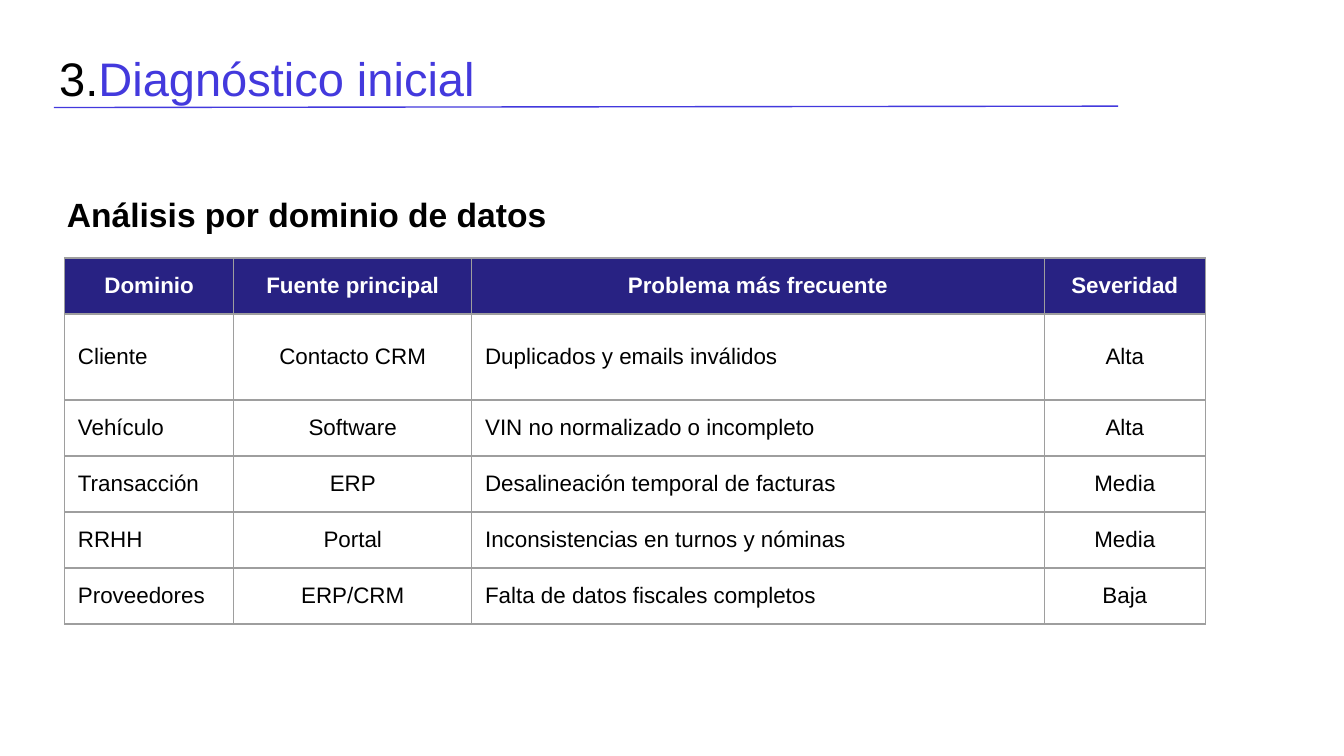
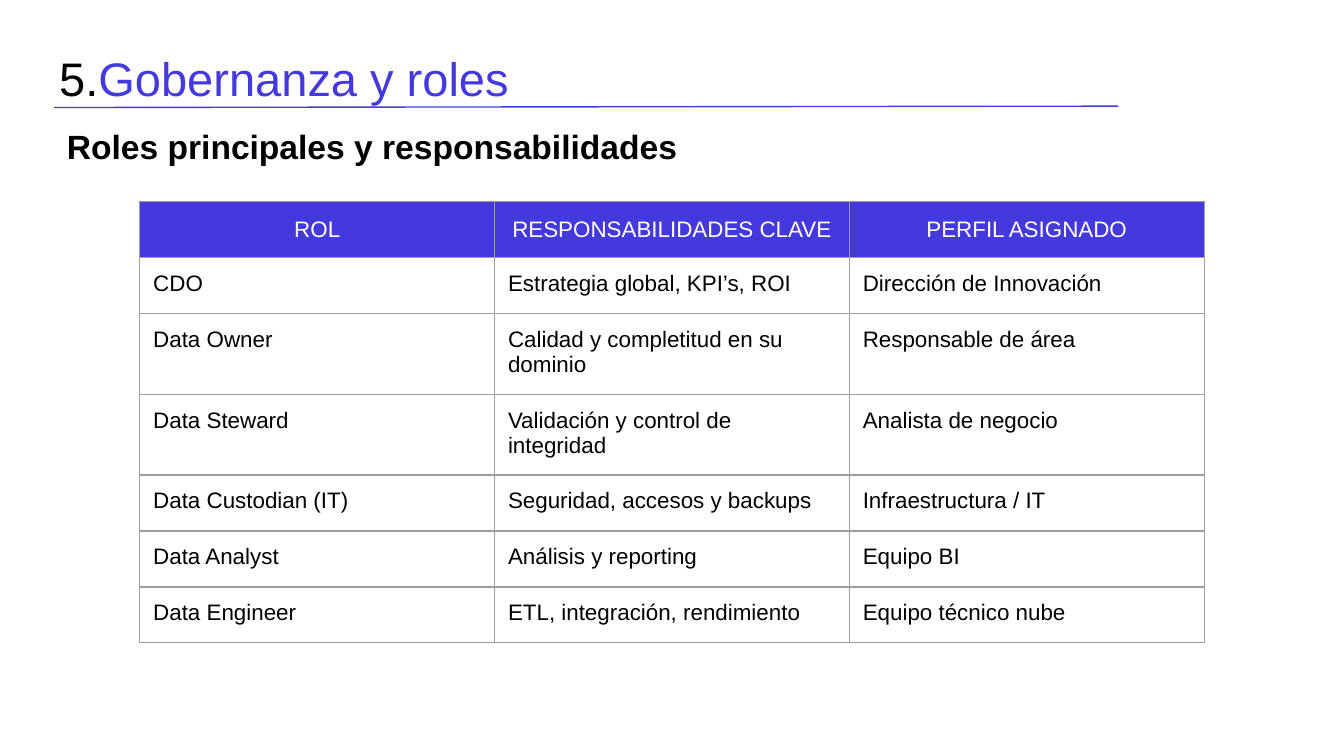
import dataclasses

import lxml.etree
import pptx
import pptx.dml.color
import pptx.enum.shapes
import pptx.enum.text
import pptx.oxml.ns
import pptx.util

Inches = pptx.util.Inches
ALIGN = pptx.enum.text.PP_ALIGN
ANCHOR = pptx.enum.text.MSO_ANCHOR

FONT = "Arial"
BLACK, WHITE = "000000", "FFFFFF"
VIOLET, NAVY, GRAY = "4339DD", "282283", "9E9E9E"
INSET = Inches(0.1)
ROW_HEIGHT = 5 / 12


@dataclasses.dataclass
class Grid:
    left: float
    top: float
    widths: list[float]
    rows: list[list[str]]
    header_fill: str
    header_bold: bool = False
    body_anchor: ANCHOR = ANCHOR.TOP
    centered_columns: tuple[int, ...] = ()
    tall_rows: dict[int, float] = dataclasses.field(default_factory=dict)


@dataclasses.dataclass
class Section:
    number: str
    title: str
    subtitle: str
    subtitle_top: float
    subtitle_width: float
    grid: Grid


SECTIONS = [
    Section(
        "3.", "Diagnóstico inicial", "Análisis por dominio de datos", 1.3, 5.74,
        Grid(
            0.48, 1.92, [1.26, 1.77, 4.26, 1.2],
            [
                ["Dominio", "Fuente principal", "Problema más frecuente", "Severidad"],
                ["Cliente", "Contacto CRM", "Duplicados y emails inválidos", "Alta"],
                ["Vehículo", "Software", "VIN no normalizado o incompleto", "Alta"],
                ["Transacción", "ERP", "Desalineación temporal de facturas", "Media"],
                ["RRHH", "Portal", "Inconsistencias en turnos y nóminas", "Media"],
                ["Proveedores", "ERP/CRM", "Falta de datos fiscales completos", "Baja"],
            ],
            NAVY, header_bold=True, body_anchor=ANCHOR.MIDDLE,
            centered_columns=(1, 3), tall_rows={1: 0.64},
        ),
    ),
    Section(
        "5.", "Gobernanza y roles", "Roles principales y responsabilidades", 0.79, 6.64,
        Grid(
            1.04, 1.5, [2.64] * 3,
            [
                ["ROL", "RESPONSABILIDADES CLAVE", "PERFIL ASIGNADO"],
                ["CDO", "Estrategia global, KPI’s, ROI", "Dirección de Innovación"],
                ["Data Owner", "Calidad y completitud en su dominio", "Responsable de área"],
                ["Data Steward", "Validación y control de integridad", "Analista de negocio"],
                ["Data Custodian (IT)", "Seguridad, accesos y backups", "Infraestructura / IT"],
                ["Data Analyst", "Análisis y reporting", "Equipo BI"],
                ["Data Engineer", "ETL, integración, rendimiento", "Equipo técnico nube"],
            ],
            VIOLET,
        ),
    ),
]


def rgb(value: str) -> pptx.dml.color.RGBColor:
    return pptx.dml.color.RGBColor.from_string(value)


def write(para, text: str, *, size: float, color: str = BLACK, bold: bool = False,
          align: ALIGN = ALIGN.LEFT) -> None:
    para.alignment = align
    span = para.add_run()
    span.text = text
    span.font.name = FONT
    span.font.size = pptx.util.Pt(size)
    span.font.bold = bold
    span.font.color.rgb = rgb(color)


def set_insets(holder) -> None:
    holder.margin_left = holder.margin_right = INSET
    holder.margin_top = holder.margin_bottom = INSET


def draw_title(page, section: Section) -> None:
    box = page.shapes.title
    box.left, box.top = Inches(0.34), Inches(0.26)
    box.width, box.height = Inches(9.32), Inches(0.63)
    frame = box.text_frame
    set_insets(frame)
    frame.word_wrap = True
    frame.auto_size = pptx.enum.text.MSO_AUTO_SIZE.NONE
    frame.vertical_anchor = ANCHOR.MIDDLE
    write(frame.paragraphs[0], section.number, size=25.2)
    write(frame.paragraphs[0], section.title, size=25.2, color=VIOLET)


def draw_rule(page) -> None:
    rule = page.shapes.add_connector(
        pptx.enum.shapes.MSO_CONNECTOR.STRAIGHT,
        Inches(0.4), Inches(0.8), Inches(8.32), Inches(0.79))
    rule.line.color.rgb = rgb(VIOLET)
    rule.line.width = pptx.util.Pt(0.75)
    lxml.etree.SubElement(rule._element.spPr, pptx.oxml.ns.qn("a:effectLst"))


def draw_subtitle(page, section: Section) -> None:
    box = page.shapes.add_textbox(
        Inches(0.4), Inches(section.subtitle_top),
        Inches(section.subtitle_width), Inches(0.5))
    frame = box.text_frame
    set_insets(frame)
    frame.word_wrap = True
    frame.auto_size = pptx.enum.text.MSO_AUTO_SIZE.SHAPE_TO_FIT_TEXT
    frame.paragraphs[0].line_spacing = 1.15
    write(frame.paragraphs[0], section.subtitle, size=18, bold=True)


def add_borders(cell) -> None:
    properties = cell._tc.get_or_add_tcPr()
    for edge in ("a:lnL", "a:lnR", "a:lnT", "a:lnB"):
        line = lxml.etree.SubElement(
            properties, pptx.oxml.ns.qn(edge), w=str(pptx.util.Pt(0.75)))
        fill = lxml.etree.SubElement(line, pptx.oxml.ns.qn("a:solidFill"))
        lxml.etree.SubElement(fill, pptx.oxml.ns.qn("a:srgbClr"), val=GRAY)


def draw_cell(cell, text: str, grid: Grid, column: int, is_header: bool) -> None:
    set_insets(cell)
    add_borders(cell)
    if is_header:
        cell.fill.solid()
        cell.fill.fore_color.rgb = rgb(grid.header_fill)
    else:
        cell.fill.background()
    cell.vertical_anchor = ANCHOR.MIDDLE if is_header else grid.body_anchor
    centered = is_header or column in grid.centered_columns
    write(cell.text_frame.paragraphs[0], text, size=12,
          color=WHITE if is_header else BLACK,
          bold=is_header and grid.header_bold,
          align=ALIGN.CENTER if centered else ALIGN.LEFT)


def draw_grid(page, grid: Grid) -> None:
    heights = [grid.tall_rows.get(i, ROW_HEIGHT) for i in range(len(grid.rows))]
    table = page.shapes.add_table(
        len(heights), len(grid.widths), Inches(grid.left), Inches(grid.top),
        Inches(sum(grid.widths)), Inches(sum(heights))).table
    table.first_row = table.horz_banding = False
    for column, width in zip(table.columns, grid.widths):
        column.width = Inches(width)
    for i, (texts, height) in enumerate(zip(grid.rows, heights)):
        table.rows[i].height = Inches(height)
        for j, text in enumerate(texts):
            draw_cell(table.cell(i, j), text, grid, j, is_header=i == 0)


def main() -> None:
    deck = pptx.Presentation()
    # Widescreen page, 16:9
    deck.slide_width = Inches(10)
    deck.slide_height = Inches(10 * 9 / 16)
    title_only = deck.slide_layouts[5]
    for section in SECTIONS:
        page = deck.slides.add_slide(title_only)
        draw_title(page, section)
        draw_rule(page)
        draw_subtitle(page, section)
        draw_grid(page, section.grid)
    deck.save("out.pptx")


if __name__ == "__main__":
    main()
